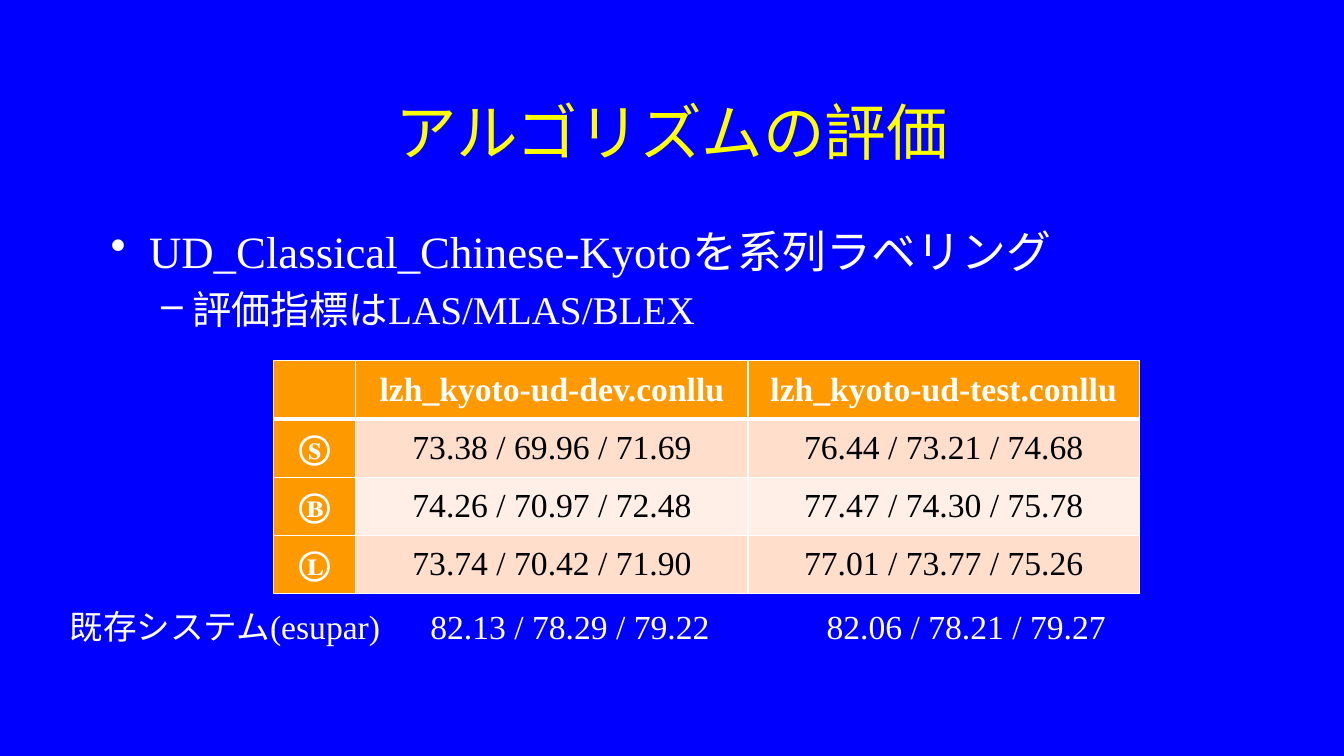
from lxml import etree
from pptx import Presentation
from pptx import util as u
from pptx.dml.color import RGBColor
from pptx.enum import text
from pptx.oxml import ns

BLUE = RGBColor(0x00, 0x00, 0xFF)
YELLOW = RGBColor(0xFF, 0xFF, 0x00)
WHITE = RGBColor(0xFF, 0xFF, 0xFF)
BLACK = RGBColor(0x00, 0x00, 0x00)
ORANGE = RGBColor(0xFF, 0x99, 0x00)
BANDS = [RGBColor(0xFF, 0xDE, 0xCC), RGBColor(0xFF, 0xEF, 0xE7)]
CENTER = text.PP_ALIGN.CENTER
MIDDLE = text.MSO_ANCHOR.MIDDLE


def write(para, words, size=24, color=WHITE, bold=False, align=None, before=0):
    """Fill a paragraph with one formatted run."""
    span = para.add_run()
    span.text = words
    span.font.name = "Times New Roman"
    span.font.size = u.Pt(size)
    span.font.color.rgb = color
    span.font.bold = bold
    para.alignment = align
    para.space_before = u.Pt(before)


def add_border(cell, side, width):
    """Draw one white cell edge; call before the cell is filled."""
    line = etree.SubElement(cell._tc.get_or_add_tcPr(), ns.qn(f"a:ln{side}"), w=str(u.Pt(width)))
    fill = etree.SubElement(line, ns.qn("a:solidFill"))
    etree.SubElement(fill, ns.qn("a:srgbClr"), val=str(WHITE))


deck = Presentation()
deck.slide_width, deck.slide_height = u.Inches(13.33), u.Inches(7.5)
page = deck.slides.add_slide(deck.slide_layouts[5])
page.background.fill.solid()
page.background.fill.fore_color.rgb = BLUE

# Title
title = page.shapes.title
title.left, title.top = u.Inches(1), u.Inches(0.67)
title.width, title.height = u.Inches(11.33), u.Inches(1.25)
title.text_frame.vertical_anchor = MIDDLE
write(title.text_frame.paragraphs[0], "アルゴリズムの評価", size=44, color=YELLOW, align=CENTER)

# Bulleted text
body = page.shapes.add_textbox(u.Inches(1), u.Inches(2.17), u.Inches(11.33), u.Inches(4.5))
body.text_frame.word_wrap = True
bullets = [
    ("UD_Classical_Chinese-Kyotoを系列ラベリング", 32, "•", 0.38, 0.38),
    ("評価指標はLAS/MLAS/BLEX", 28, "–", 0.81, 0.31),
]
for level, (words, size, mark, margin, hang) in enumerate(bullets):
    para = body.text_frame.add_paragraph() if level else body.text_frame.paragraphs[0]
    write(para, words, size=size, before=size * 0.2)
    para.level = level
    props = para._p.get_or_add_pPr()
    props.set("marL", str(u.Inches(margin)))
    props.set("indent", str(-u.Inches(hang)))
    etree.SubElement(props, ns.qn("a:buChar"), char=mark)

# Score table
scores = [
    ["", "lzh_kyoto-ud-dev.conllu", "lzh_kyoto-ud-test.conllu"],
    ["Ⓢ", "73.38 / 69.96 / 71.69", "76.44 / 73.21 / 74.68"],
    ["Ⓑ", "74.26 / 70.97 / 72.48", "77.47 / 74.30 / 75.78"],
    ["Ⓛ", "73.74 / 70.42 / 71.90", "77.01 / 73.77 / 75.26"],
]
table = page.shapes.add_table(
    len(scores), 3, u.Inches(2.71), u.Inches(3.58), u.Inches(8.59), u.Inches(2.31)
).table
for column, width in zip(table.columns, [0.82, 3.89, 3.88]):
    column.width = u.Inches(width)
for r, row in enumerate(scores):
    for c, words in enumerate(row):
        cell = table.cell(r, c)
        heading = r == 0 or c == 0
        for side in "LRTB":
            under_header = (r, side) in [(0, "B"), (1, "T")]
            add_border(cell, side, 3 if under_header else 1)
        cell.fill.solid()
        cell.fill.fore_color.rgb = ORANGE if heading else BANDS[(r - 1) % 2]
        cell.vertical_anchor = MIDDLE
        if words:
            write(cell.text_frame.paragraphs[0], words, color=WHITE if heading else BLACK,
                  bold=heading, align=CENTER)

# Scores of the existing system, set on tab stops
baseline = page.shapes.add_textbox(u.Inches(0.59), u.Inches(5.96), u.Inches(10.55), u.Inches(0.5))
baseline.text_frame.word_wrap = True
para = baseline.text_frame.paragraphs[0]
write(para, "既存システム(esupar)\t82.13 / 78.29 / 79.22\t82.06 / 78.21 / 79.27")
stops = etree.SubElement(para._p.get_or_add_pPr(), ns.qn("a:tabLst"))
for place in [3.58, 7.51]:
    etree.SubElement(stops, ns.qn("a:tab"), pos=str(u.Inches(place)), algn="l")

deck.save("out.pptx")
